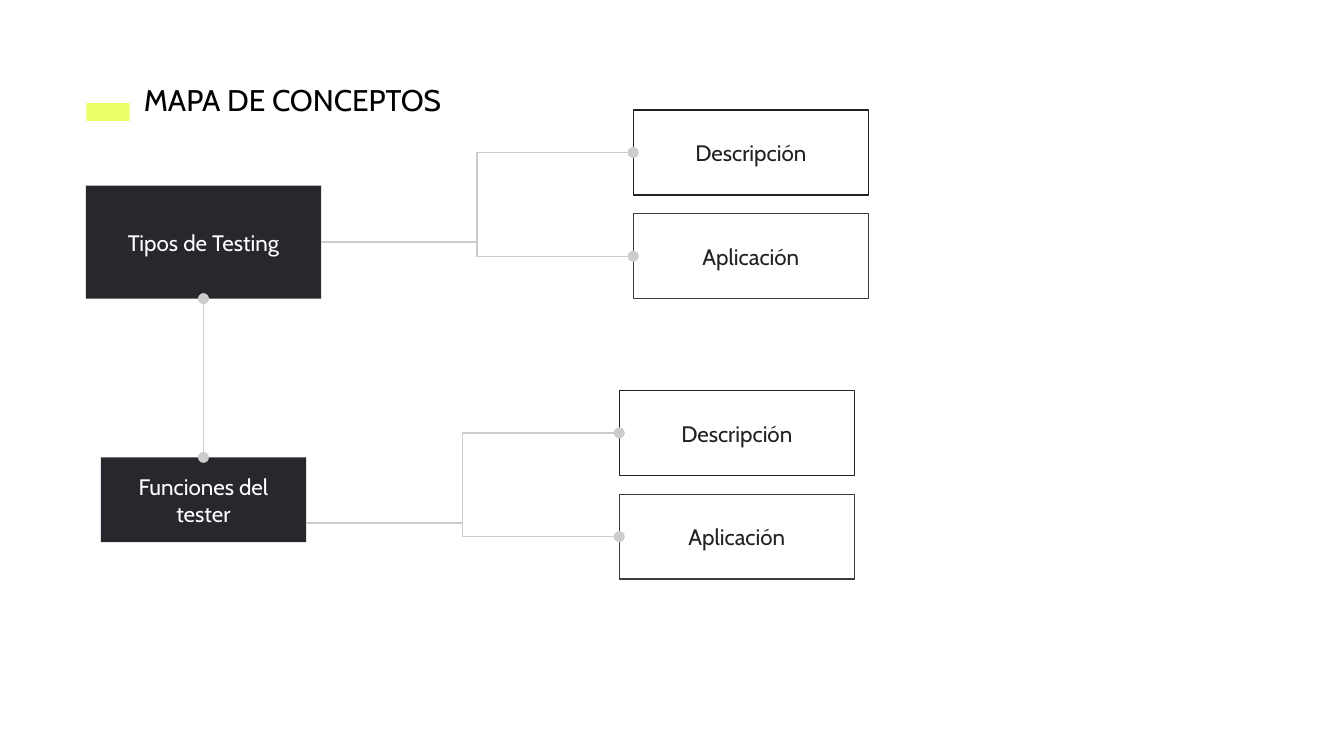
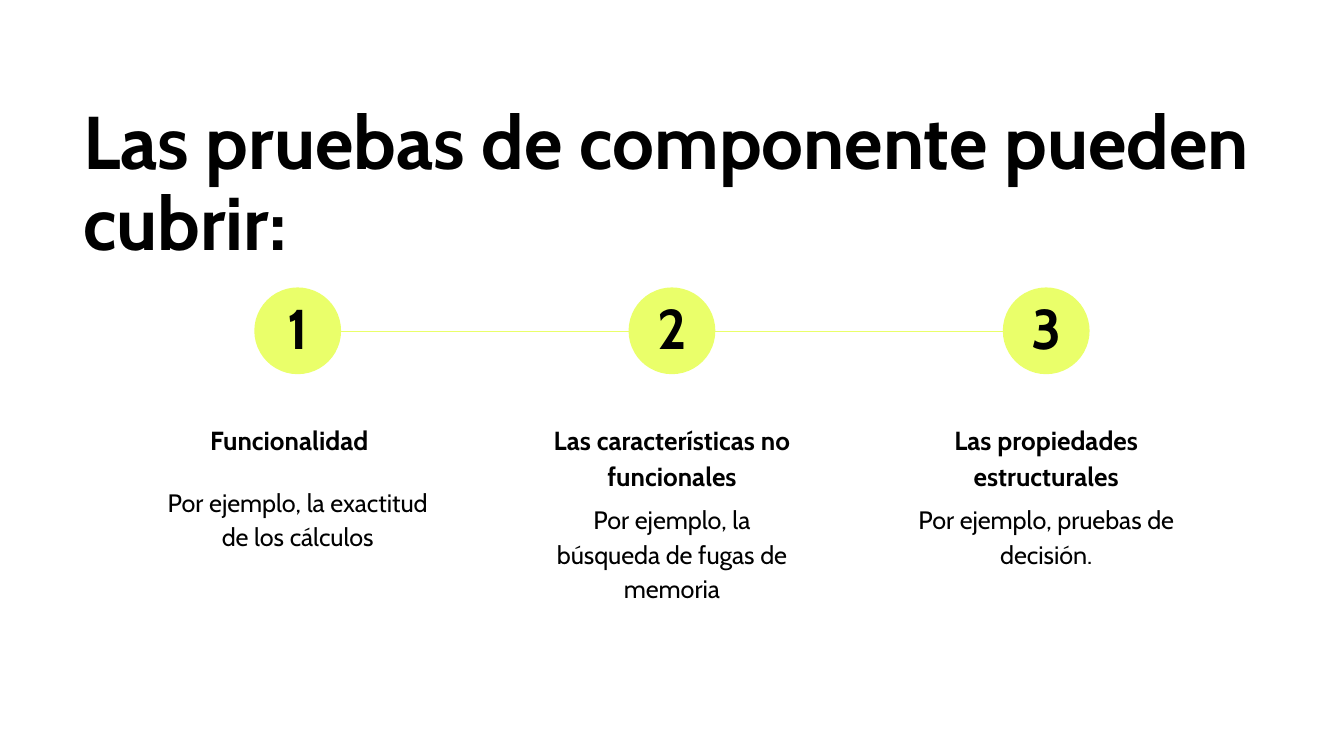
from lxml import etree
from pptx import Presentation
from pptx import util as u
from pptx.dml.color import RGBColor
from pptx.enum import shapes, text
from pptx.oxml.ns import qn

Pt = u.Pt
COLORS = {"lime": "EAFF6A", "dark": "27282D", "ink": "212121", "edge": "393B43",
          "soft": "222222", "grey": "CCCCCC", "white": "FFFFFF", "black": "000000"}
FONT = "Cabin"
RECT, OVAL = shapes.MSO_SHAPE.RECTANGLE, shapes.MSO_SHAPE.OVAL
STRAIGHT, ELBOW = shapes.MSO_CONNECTOR.STRAIGHT, shapes.MSO_CONNECTOR.ELBOW


def add_box(page, at, words="", kind=None, fill=None, line=None, size=12, color="black",
            bold=False, center=True, spacing=None):
    place = [Pt(value) for value in at]
    if kind is None:
        box = page.shapes.add_textbox(*place)
    else:
        box = page.shapes.add_shape(kind, *place)
        box.shadow.inherit = False
        if fill:
            box.fill.solid()
            box.fill.fore_color.rgb = RGBColor.from_string(COLORS[fill])
        else:
            box.fill.background()
        if line:
            box.line.color.rgb = RGBColor.from_string(COLORS[line])
            box.line.width = Pt(0.75)
        else:
            box.line.fill.background()
    if not words:
        return box
    frame = box.text_frame
    frame.word_wrap = True
    frame.margin_left = frame.margin_right = frame.margin_top = frame.margin_bottom = Pt(7.2)
    if kind is None:
        frame.auto_size = text.MSO_AUTO_SIZE.SHAPE_TO_FIT_TEXT
        frame.vertical_anchor = text.MSO_ANCHOR.TOP
    else:
        frame.vertical_anchor = text.MSO_ANCHOR.MIDDLE
    para = frame.paragraphs[0]
    para.alignment = text.PP_ALIGN.CENTER if center else text.PP_ALIGN.LEFT
    if spacing:
        para.line_spacing = spacing
    span = para.add_run()
    span.text = words
    span.font.name = FONT
    span.font.size = Pt(size)
    span.font.bold = bold
    span.font.color.rgb = RGBColor.from_string(COLORS[color])
    return box


def add_link(page, kind, start, end, color, ovals=()):
    link = page.shapes.add_connector(kind, *[Pt(value) for value in (*start, *end)])
    link.line.color.rgb = RGBColor.from_string(COLORS[color])
    link.line.width = Pt(0.75)
    for tag in ovals:
        etree.SubElement(link.line._get_or_add_ln(), qn(tag), type="oval")
    etree.SubElement(link._element.spPr, qn("a:effectLst"))
    return link


deck = Presentation()
deck.slide_width, deck.slide_height = Pt(720), Pt(405)
blank = deck.slide_layouts[6]

page = deck.slides.add_slide(blank)
add_box(page, (46.25, 55.25, 23.25, 9.5), kind=RECT, fill="lime")
add_box(page, (70, 36.75, 193.5, 34), "MAPA DE CONCEPTOS", size=16, center=False)
types = add_box(page, (46, 99.5, 126, 60.5), "Tipos de Testing", kind=RECT, fill="dark", color="white")
tester = add_box(page, (54, 245, 110, 45.5), "Funciones del tester", kind=RECT, fill="dark", color="white")
spine = add_link(page, STRAIGHT, (109, 245), (109, 160), "grey", ("a:headEnd", "a:tailEnd"))
spine.begin_connect(tester, 0)
spine.end_connect(types, 2)

leaf_width, leaf_height, leaf_step = 126, 45.5, 55.5
leaves = [("Descripción", "white", "ink", "ink"), ("Aplicación", None, "edge", "soft")]
for start, left, top in [((172, 129.75), 339.25, 59), ((164, 280.25), 331.75, 209.25)]:
    for row, (words, fill, line, color) in enumerate(leaves):
        leaf_top = top + row * leaf_step
        add_box(page, (left, leaf_top, leaf_width, leaf_height), words, kind=RECT,
                fill=fill, line=line, color=color)
        add_link(page, ELBOW, start, (left, leaf_top + leaf_height / 2), "grey", ("a:tailEnd",))

page = deck.slides.add_slide(blank)
add_box(page, (37.5, 49, 641, 101.5), "Las pruebas de componente pueden cubrir:", size=40,
        bold=True, center=False, spacing=0.9)

middle, step, circle, circle_top = 159.5, 200.5, 46.5, 154
columns = [
    ("Funcionalidad", "Por ejemplo, la exactitud de los cálculos", -4.5, 251.25),
    ("Las características no funcionales", "Por ejemplo, la búsqueda de fugas de memoria", 0, 260.5),
    ("Las propiedades estructurales", "Por ejemplo, pruebas de decisión.", 0, 260.5),
]
previous = None
for index, (heading, body, shift, body_top) in enumerate(columns):
    x = middle + index * step
    disc = add_box(page, (x - circle / 2, circle_top, circle, circle), kind=OVAL, fill="lime")
    if previous:
        add_link(page, STRAIGHT, (x - step + circle / 2, 177.5), (x - circle / 2, 177.5), "lime")
    previous = disc
    add_box(page, (x - 16.25, circle_top, 32.5, 47.5), str(index + 1), size=30, bold=True, spacing=0.9)
    add_box(page, (x - 77 + shift, 217.5, 154, 51), heading, size=14, bold=True, spacing=1.15)
    add_box(page, (x - 76.75, body_top, 153.5, 68.5), body, size=13.5, spacing=1.15)

deck.save("out.pptx")
